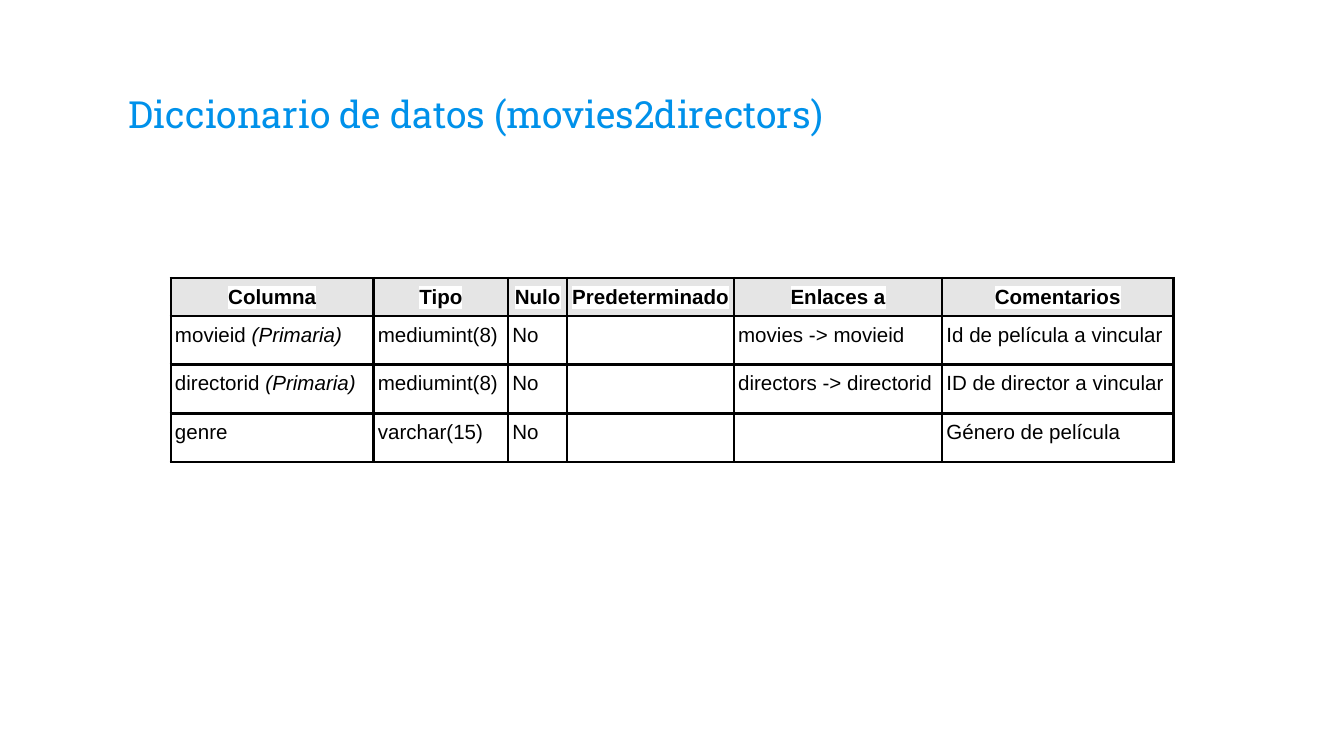
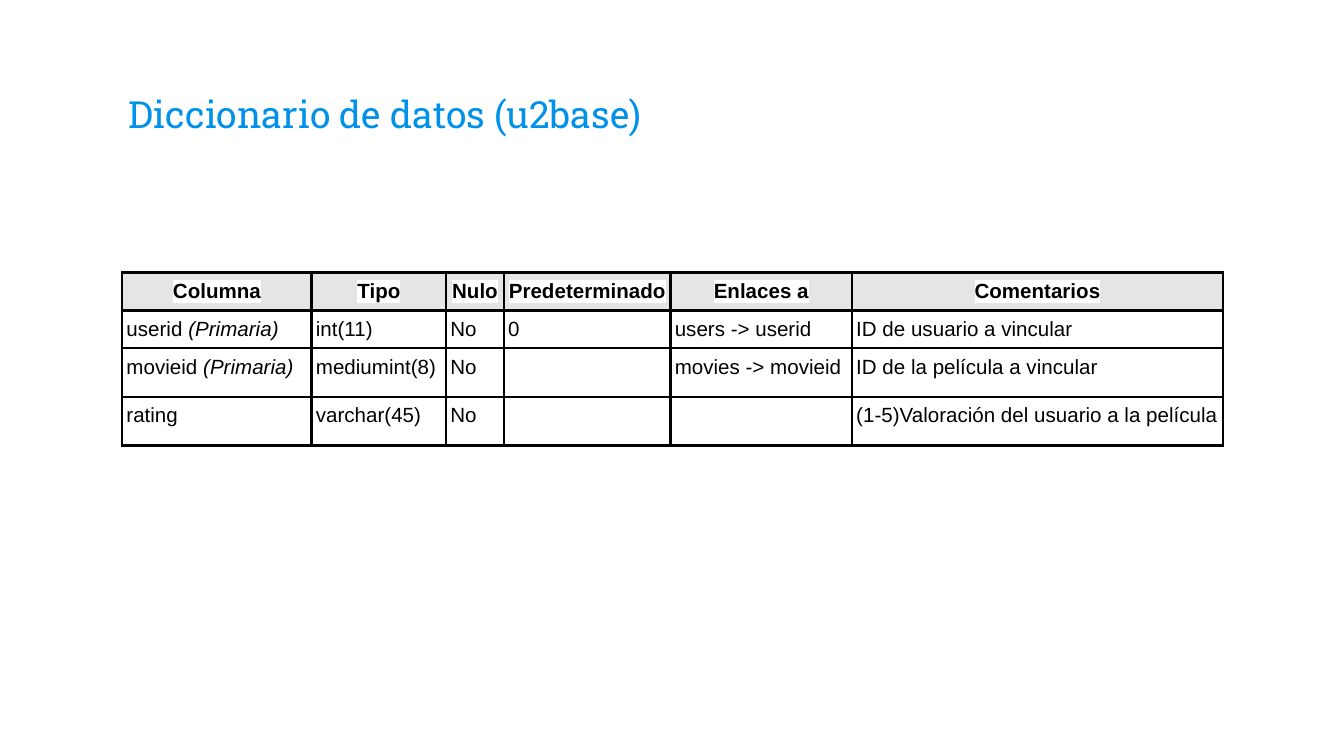
from lxml import etree
from pptx import Presentation
from pptx.dml.color import RGBColor
from pptx.enum import text
from pptx.oxml import ns
from pptx.util import Pt

# Content
HEADERS = ["Columna", "Tipo", "Nulo", "Predeterminado", "Enlaces a", "Comentarios"]
KEY = "(Primaria)"
SLIDES = [
    {
        "title": "Diccionario de datos (movies2directors)",
        "at": (91.5, 149),
        "cols": [108.7, 72, 31.7, 89.3, 111.6, 123.8],
        "rows": [
            ["movieid (Primaria)", "mediumint(8)", "No", "", "movies -> movieid",
             "Id de película a vincular"],
            ["directorid (Primaria)", "mediumint(8)", "No", "", "directors -> directorid",
             "ID de director a vincular"],
            ["genre", "varchar(15)", "No", "", "", "Género de película"],
        ],
    },
    {
        "title": "Diccionario de datos (u2base)",
        "at": (65.5, 146),
        "cols": [101.5, 72, 31, 89.3, 97.2, 198.7],
        "rows": [
            ["userid (Primaria)", "int(11)", "No", "0", "users -> userid",
             "ID de usuario a vincular"],
            ["movieid (Primaria)", "mediumint(8)", "No", "", "movies -> movieid",
             "ID de la película a vincular"],
            ["rating", "varchar(45)", "No", "", "",
             "(1-5)Valoración del usuario a la película"],
        ],
    },
]

# Shared look
BLUE, BLACK, WHITE, GREY = "0091EA", "000000", "FFFFFF", "E5E5E5"
TITLE_BOX = (62, 24.5, 596, 55.5)
TITLE_FONT = {"name": "Roboto Slab", "size": Pt(20)}
CELL_FONT = {"name": "Arial", "size": Pt(11)}
CELL_PARA = {"line_spacing": 1.15, "space_before": Pt(12), "space_after": Pt(12)}
ROW_H, BORDER, CELL_PAD, TITLE_PAD = 20.25, 1.5, 2.25, 7.2


def color(hex6):
    return RGBColor.from_string(hex6)


def put(obj, values):
    for name, value in values.items():
        setattr(obj, name, value)


def margins(pad):
    return {f"margin_{side}": Pt(pad) for side in ("left", "top", "right", "bottom")}


def add_run(p, words, font, hex6):
    r = p.add_run()
    r.text = words
    put(r.font, font)
    r.font.color.rgb = color(hex6)
    return r


def highlight(r, hex6):
    fill = r.font._element.find(ns.qn("a:solidFill"))
    mark = etree.Element(ns.qn("a:highlight"))
    etree.SubElement(mark, ns.qn("a:srgbClr"), val=hex6)
    fill.addnext(mark)


def add_borders(cell):
    tcPr = cell._tc.get_or_add_tcPr()
    for i, side in enumerate("LRTB"):
        ln = etree.Element(ns.qn(f"a:ln{side}"), w=str(Pt(BORDER)))
        fill = etree.SubElement(ln, ns.qn("a:solidFill"))
        etree.SubElement(fill, ns.qn("a:srgbClr"), val=BLACK)
        tcPr.insert(i, ln)


def add_title(s, words):
    tf = s.shapes.add_textbox(*map(Pt, TITLE_BOX)).text_frame
    put(tf, {"word_wrap": True, "vertical_anchor": text.MSO_ANCHOR.BOTTOM,
             **margins(TITLE_PAD)})
    add_run(tf.paragraphs[0], words, TITLE_FONT, BLUE)


def fill_cell(cell, words, header):
    put(cell, margins(CELL_PAD))
    cell.fill.solid()
    cell.fill.fore_color.rgb = color(GREY if header else WHITE)
    add_borders(cell)
    if not words:
        return
    p = cell.text_frame.paragraphs[0]
    put(p, CELL_PARA)
    p.alignment = text.PP_ALIGN.CENTER if header else text.PP_ALIGN.LEFT
    name, key, _ = words.partition(KEY)
    r = add_run(p, name, {**CELL_FONT, "bold": header}, BLACK)
    if header:
        highlight(r, WHITE)
    if key:
        add_run(p, key, {**CELL_FONT, "bold": False, "italic": True}, BLACK)


def add_dictionary(s, at, cols, rows):
    grid = [HEADERS] + rows
    size = (sum(cols), ROW_H * len(grid))
    table = s.shapes.add_table(len(grid), len(cols), *map(Pt, at + size)).table
    put(table, {"first_row": False, "horz_banding": False})
    for col, width in zip(table.columns, cols):
        col.width = Pt(width)
    for i, row in enumerate(grid):
        table.rows[i].height = Pt(ROW_H)
        for j, words in enumerate(row):
            fill_cell(table.cell(i, j), words, header=i == 0)


def main():
    prs = Presentation()
    put(prs, {"slide_width": Pt(720), "slide_height": Pt(405)})
    for data in SLIDES:
        s = prs.slides.add_slide(prs.slide_layouts[6])
        add_title(s, data["title"])
        add_dictionary(s, data["at"], data["cols"], data["rows"])
    prs.save("out.pptx")


if __name__ == "__main__":
    main()
